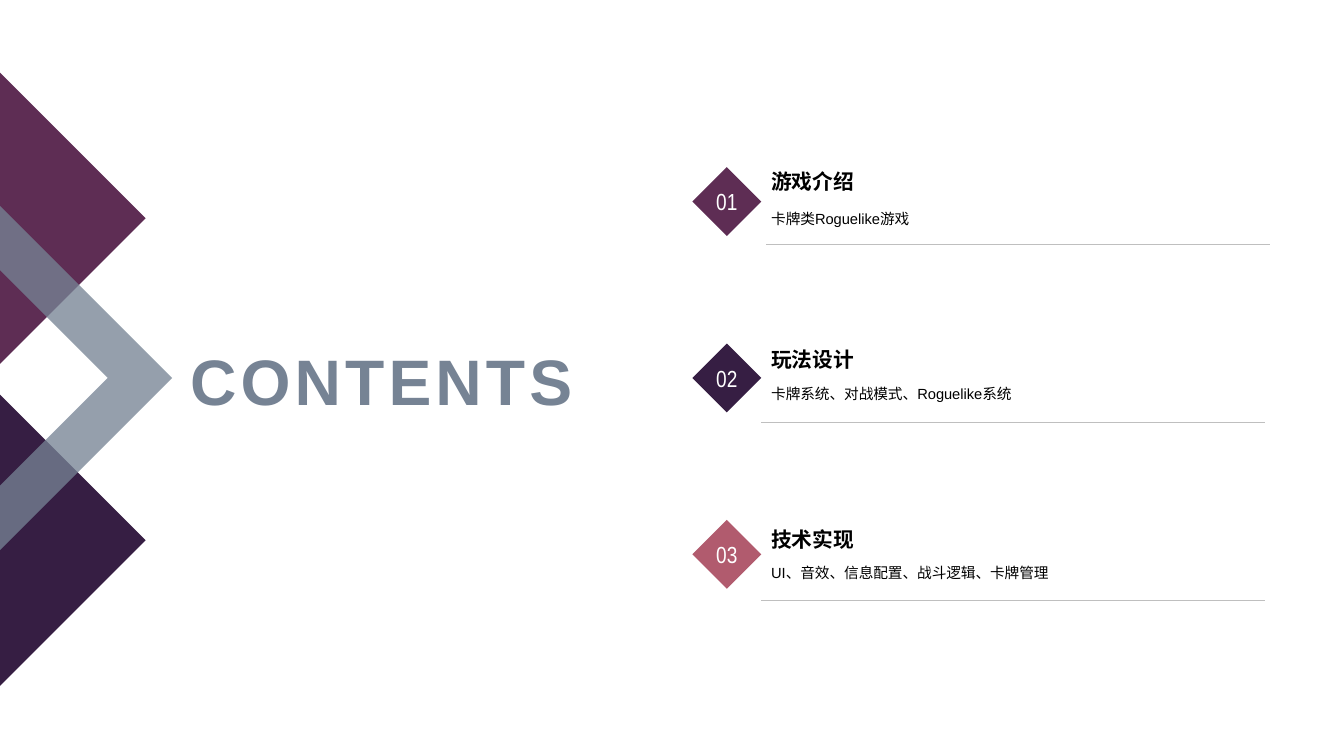
from pptx import Presentation
from pptx.dml.color import RGBColor
from pptx.enum.shapes import MSO_CONNECTOR as Connector, MSO_SHAPE as Shape
from pptx.enum.text import MSO_ANCHOR as Anchor, MSO_AUTO_SIZE as AutoSize, PP_ALIGN as Align
from pptx.oxml.ns import qn
from pptx.util import Pt
from lxml.etree import SubElement

PLUM, VIOLET, ROSE, SLATE = "5E2D54", "361E43", "B15B6E", "768394"
ITEM_LEFT, ITEM_TOP, ITEM_PITCH = 494.6, 119.4, 126
DIAMOND = 49.2

# number, colour, heading, detail, then offsets from the item's corner:
# heading top, detail top, rule left, rule top
ITEMS = [
    ("01", PLUM, "游戏介绍", "卡牌类Roguelike游戏", -1.4, 23.2, 52.6, 54.8),
    ("02", VIOLET, "玩法设计", "卡牌系统、对战模式、Roguelike系统", -0.6, 22.4, 49, 56.3),
    ("03", ROSE, "技术实现", "UI、音效、信息配置、战斗逻辑、卡牌管理", 2.3, 23.9, 49, 57),
]


def color(hex_code):
    return RGBColor.from_string(hex_code)


def paint(shape, fill, alpha=None):
    shape.shadow.inherit = False
    shape.fill.solid()
    shape.fill.fore_color.rgb = color(fill)
    shape.line.fill.background()
    if alpha is not None:
        tint = shape.fill._xPr.find(qn("a:solidFill"))[0]
        SubElement(tint, qn("a:alpha")).set("val", str(alpha * 1000))


def write(shape, text, size, font="Arial", fill="000000", bold=False, align=Align.LEFT,
          anchor=Anchor.MIDDLE, wrap=True, line_spacing=1.0, tracking=0):
    frame = shape.text_frame
    frame.auto_size = AutoSize.NONE
    frame.word_wrap = wrap
    frame.vertical_anchor = anchor
    para = frame.paragraphs[0]
    para.alignment = align
    para.line_spacing = line_spacing
    span = para.add_run()
    span.text = text
    span.font.size = Pt(size)
    span.font.name = font
    span.font.bold = bold
    span.font.color.rgb = color(fill)
    if tracking:
        span._r.get_or_add_rPr().set("spc", str(tracking * 100))


def add_polygon(page, points, fill, alpha=None):
    start, *others = [(Pt(x), Pt(y)) for x, y in points]
    builder = page.shapes.build_freeform(*start)
    builder.add_line_segments(others, close=True)
    paint(builder.convert_to_shape(), fill, alpha)


def add_text_box(page, left, top, width, height, text, size, **style):
    box = page.shapes.add_textbox(Pt(left), Pt(top), Pt(width), Pt(height))
    write(box, text, size, **style)


def add_arrows(page, middle, reach):
    """Stack two half diamonds and a see-through chevron on the left edge."""
    half, thickness = 104, 46
    for center, fill in ((middle + 116, VIOLET), (middle - 114, PLUM)):
        add_polygon(page, [(0, center - half), (half, center), (0, center + half)], fill)
    inner = reach - thickness
    add_polygon(page, [(0, middle - reach), (reach, middle), (0, middle + reach),
                       (0, middle + inner), (inner, middle), (0, middle - inner)], SLATE, alpha=77)


def add_heading(page, left, top, width, height):
    title = page.shapes.title
    title.left, title.top, title.width, title.height = Pt(left), Pt(top), Pt(width), Pt(height)
    write(title, "CONTENTS", 45.9, fill=SLATE, bold=True, align=Align.RIGHT, tracking=3)


def add_rule(page, left, top, width):
    rule = page.shapes.add_connector(Connector.STRAIGHT, Pt(left), Pt(top), Pt(left + width), Pt(top))
    rule.line.color.rgb = color("BFBFBF")
    rule.line.width = Pt(0.25)
    SubElement(rule._element.spPr, qn("a:effectLst"))


def add_item(page, left, top, number, fill, heading, detail,
             heading_dy, detail_dy, rule_dx, rule_dy):
    diamond = page.shapes.add_shape(Shape.DIAMOND, Pt(left), Pt(top), Pt(DIAMOND), Pt(DIAMOND))
    paint(diamond, fill)
    write(diamond, number, 16.6, font="Arial Narrow", fill="FFFFFF", align=Align.CENTER, wrap=False)
    text_left, text_width = left + DIAMOND, 312
    add_text_box(page, text_left, top + heading_dy, text_width, 24, heading, 14.8,
                 bold=True, anchor=Anchor.BOTTOM)
    add_text_box(page, text_left, top + detail_dy, text_width, 25, detail, 10.5, line_spacing=1.2)
    add_rule(page, left + rule_dx, top + rule_dy, 360)


def build_contents(deck):
    page = deck.slides.add_slide(deck.slide_layouts.get_by_name("Title Only"))
    add_arrows(page, middle=270, reach=123)
    add_heading(page, 121.7, 234.7, 294.5, 72.7)
    for index, item in enumerate(ITEMS):
        add_item(page, ITEM_LEFT, ITEM_TOP + index * ITEM_PITCH, *item)


def main():
    deck = Presentation()
    deck.slide_width, deck.slide_height = Pt(960), Pt(540)
    build_contents(deck)
    deck.save("out.pptx")


if __name__ == "__main__":
    main()
